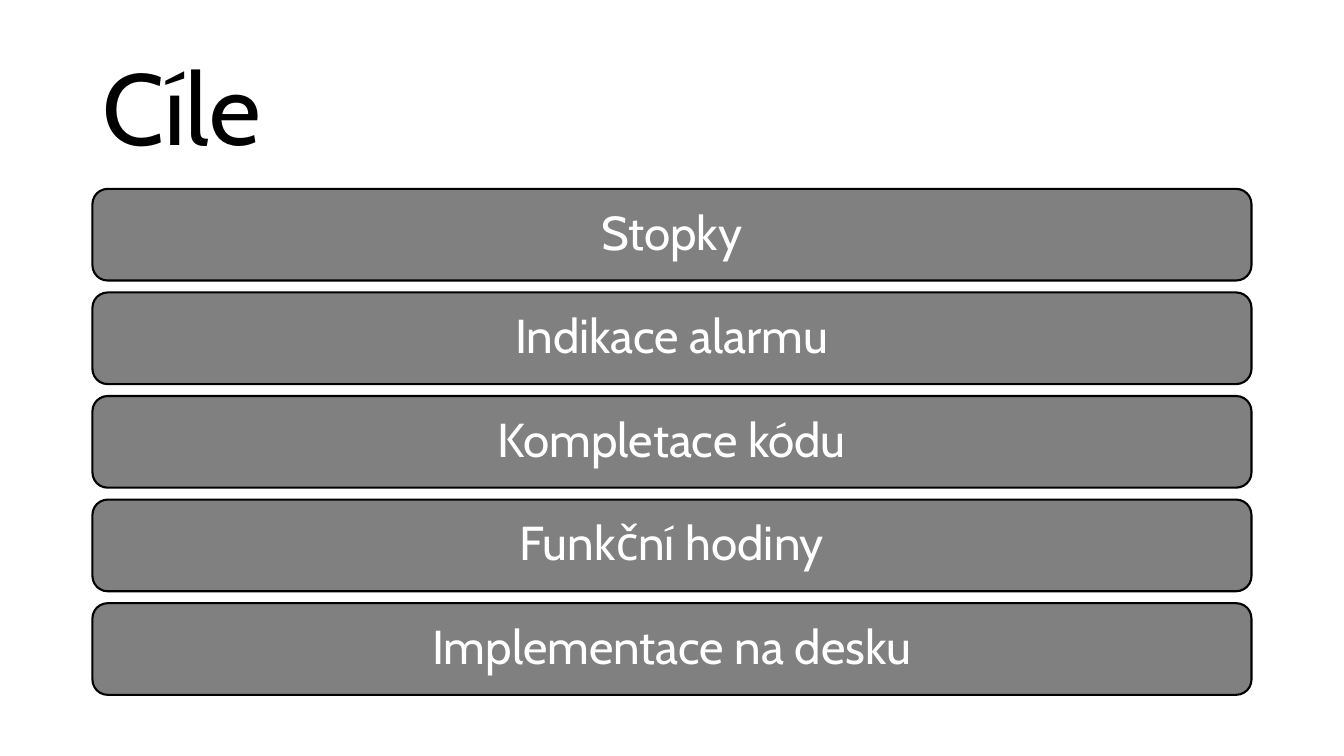
"""Build a slide with a title and a stack of five goal bars."""
from pptx import Presentation
from pptx.dml.color import RGBColor
from pptx.enum.shapes import MSO_SHAPE as Shape
from pptx.enum.text import MSO_ANCHOR as Anchor, MSO_AUTO_SIZE as AutoSize, PP_ALIGN as Align
from pptx.util import Cm, Pt

HEADING = "Cíle"
GOALS = [
    "Stopky",
    "Indikace alarmu",
    "Kompletace kódu",
    "Funkční hodiny",
    "Implementace na desku",
]
COLORS = {"ink": "000000", "bar": "808080", "label": "FFFFFF"}
FONT = "Cabin"
LEFT, WIDTH = 2.33, 29.21
FIRST_TOP, BAR_HEIGHT, GAP = 4.76, 2.31, 0.3
INSET = 0.45


def color(name):
    """Return the named colour."""
    return RGBColor.from_string(COLORS[name])


def write(frame, wording, size, ink, align):
    """Put one formatted line of text in the middle of a frame."""
    frame.text = wording
    frame.word_wrap = True
    frame.auto_size = AutoSize.NONE
    frame.vertical_anchor = Anchor.MIDDLE
    line = frame.paragraphs[0]
    line.alignment = align
    line.line_spacing = 0.9
    font = line.runs[0].font
    font.name, font.size = FONT, Pt(size)
    font.color.rgb = color(ink)


def add_bar(slide, row, goal):
    """Add the rounded bar of one goal."""
    top = FIRST_TOP + row * (BAR_HEIGHT + GAP)
    bar = slide.shapes.add_shape(
        Shape.ROUNDED_RECTANGLE, Cm(LEFT), Cm(top), Cm(WIDTH), Cm(BAR_HEIGHT))
    bar.shadow.inherit = False
    bar.fill.solid()
    bar.fill.fore_color.rgb = color("bar")
    bar.line.color.rgb = color("ink")
    bar.line.width = Pt(1.5)
    frame = bar.text_frame
    frame.margin_left = frame.margin_right = Cm(INSET)
    frame.margin_top = frame.margin_bottom = Cm(INSET)
    write(frame, goal, 34, "label", Align.CENTER)


def main():
    """Create and save the presentation."""
    deck = Presentation()
    deck.slide_width, deck.slide_height = Cm(33.87), Cm(19.05)
    slide = deck.slides.add_slide(deck.slide_layouts[5])
    title = slide.shapes.title
    title.left, title.top = Cm(LEFT), Cm(1.01)
    title.width, title.height = Cm(WIDTH), Cm(3.68)
    write(title.text_frame, HEADING, 72, "ink", Align.LEFT)
    for row, goal in enumerate(GOALS):
        add_bar(slide, row, goal)
    deck.save("out.pptx")


if __name__ == "__main__":
    main()
